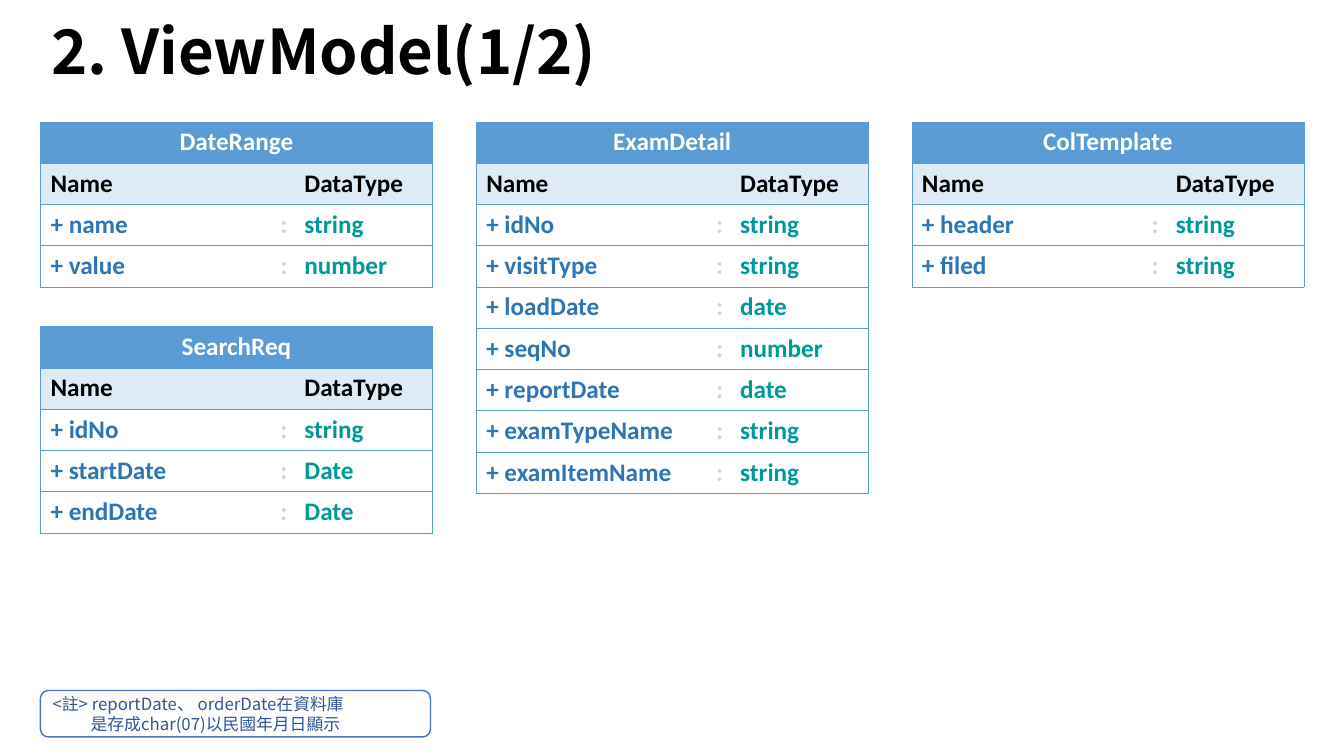
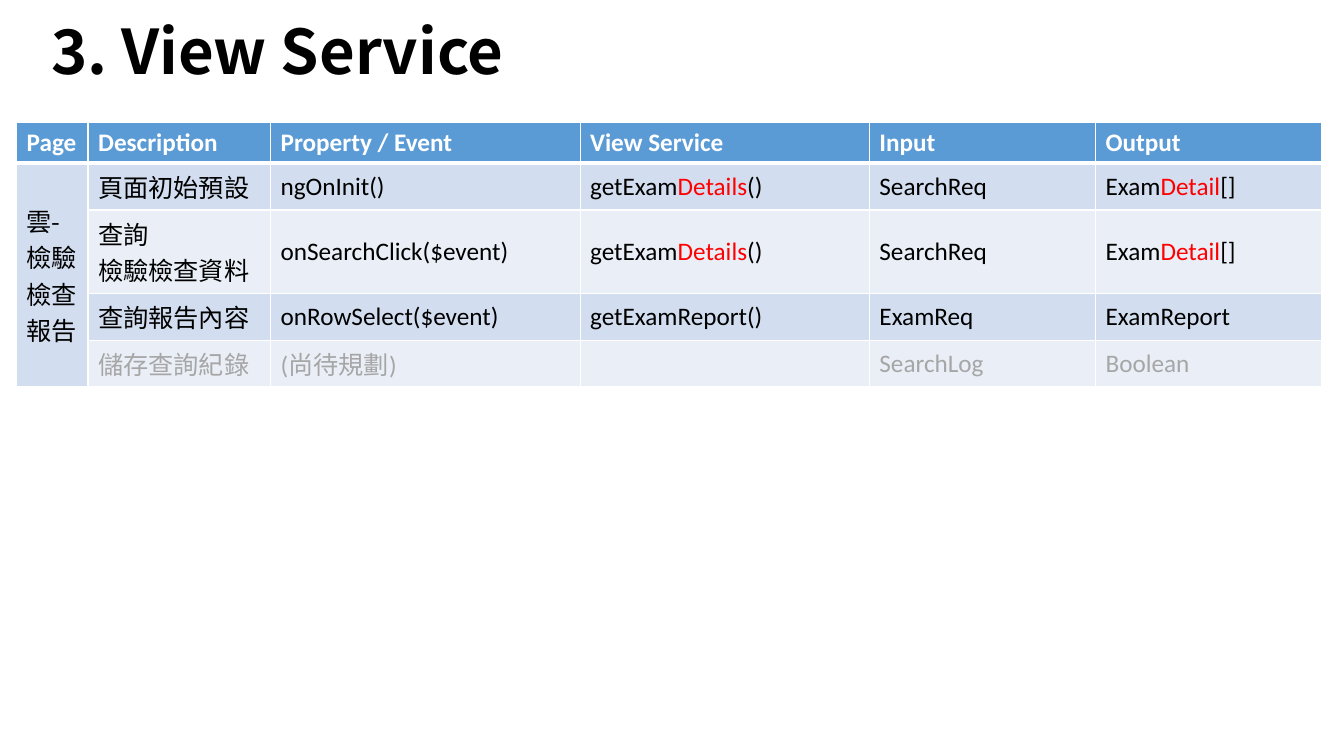
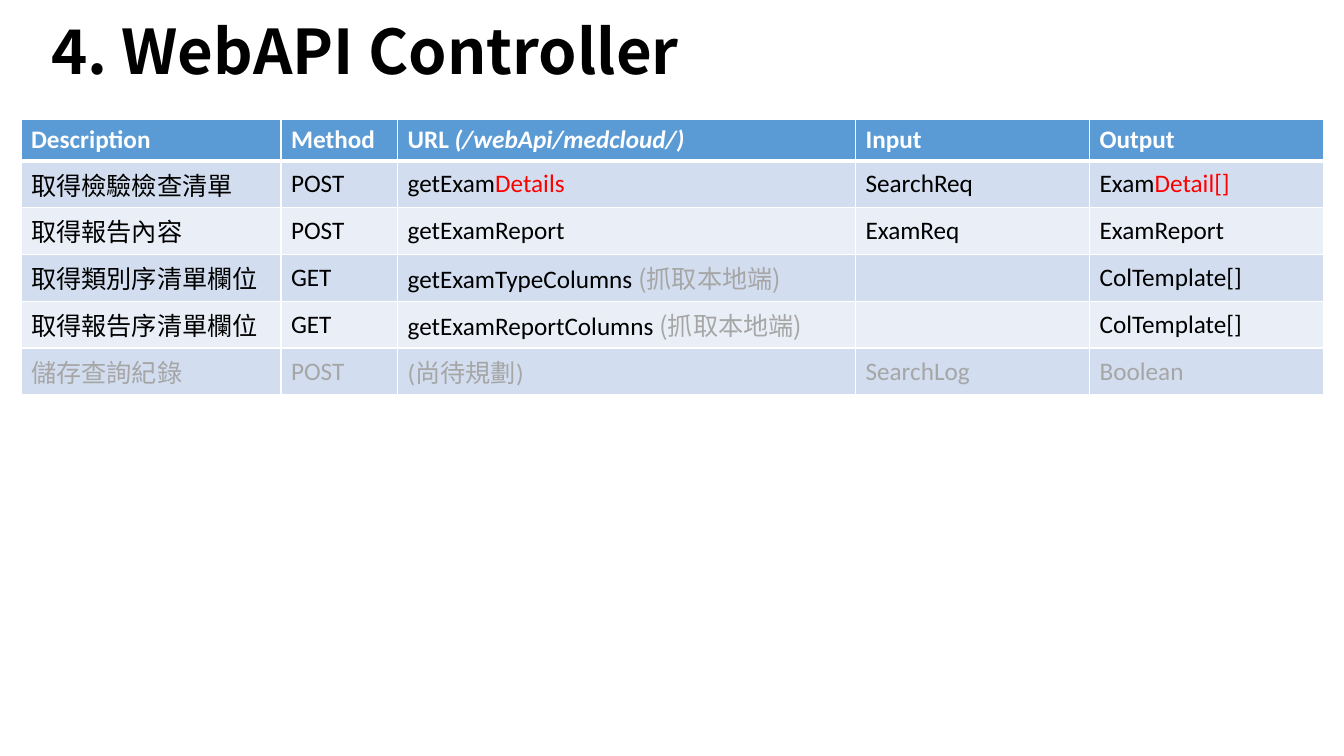
from dataclasses import dataclass

import lxml.etree
import pptx
import pptx.dml.color
import pptx.enum.shapes
import pptx.enum.text
import pptx.oxml.ns
import pptx.util

Cm = pptx.util.Cm
Pt = pptx.util.Pt
qn = pptx.oxml.ns.qn


@dataclass(frozen=True)
class Theme:
    latin_font: str = "Calibri"
    cjk_font: str = "Noto Sans CJK SC"
    title_size: int = 44
    table_size: int = 18
    note_size: int = 12
    white: str = "FFFFFF"
    black: str = "000000"
    header: str = "5B9BD5"
    model_subheader: str = "DEEBF7"
    bands: tuple = ("D2DEEF", "EAEFF7")
    member: str = "2E75B6"
    colon: str = "D4D4D4"
    data_type: str = "009999"
    changed: str = "FF0000"
    muted: str = "A6A6A6"
    note_line: str = "4472C4"
    note_text: str = "2F5597"


THEME = Theme()


@dataclass(frozen=True)
class Run:
    """A piece of text that differs from the rest of its paragraph."""
    text: str
    colour: str = None
    font: str = None
    italic: bool = None


def rgb(colour):
    return pptx.dml.color.RGBColor.from_string(colour)


def font_for(text):
    """Pick the East Asian font for text that opens with an ideograph."""
    return THEME.cjk_font if text and ord(text[0]) > 0x2E80 else THEME.latin_font


def write(paragraph, content, size, colour, font=None, bold=False):
    """Fill a paragraph with a string or a list of strings and Runs."""
    pieces = content if isinstance(content, list) else [content]
    pieces = [piece if isinstance(piece, Run) else Run(piece) for piece in pieces]
    paragraph.font.name = font or font_for(pieces[0].text)
    paragraph.font.size = Pt(size)
    paragraph.font.bold = bold
    paragraph.font.color.rgb = rgb(colour)
    defaults = paragraph._p.get_or_add_pPr().get_or_add_defRPr()
    lxml.etree.SubElement(defaults, qn("a:ea"), typeface=THEME.cjk_font)
    for piece in pieces:
        if not piece.text:
            continue
        run = paragraph.add_run()
        run.text = piece.text
        if piece.colour:
            run.font.color.rgb = rgb(piece.colour)
        if piece.font:
            run.font.name = piece.font
        if piece.italic:
            run.font.italic = True


def set_borders(cell, colour, **widths):
    """Draw the given sides (L, R, T, B) in points; the others stay empty."""
    properties = cell._tc.get_or_add_tcPr()
    for side in "LRTB":
        width = widths.get(side, 0)
        line = lxml.etree.SubElement(properties, qn("a:ln" + side), w=str(Pt(width)))
        if width:
            fill = lxml.etree.SubElement(line, qn("a:solidFill"))
            lxml.etree.SubElement(fill, qn("a:srgbClr"), val=colour)
        else:
            lxml.etree.SubElement(line, qn("a:noFill"))


def set_fill(cell, colour):
    if colour:
        cell.fill.solid()
        cell.fill.fore_color.rgb = rgb(colour)
    else:
        cell.fill.background()


def add_plain_table(slide, left, top, widths, heights):
    """Add a table without style flags; all lengths are in centimetres."""
    table = slide.shapes.add_table(
        len(heights), len(widths), Cm(left), Cm(top),
        Cm(sum(widths)), Cm(sum(heights))).table
    table.first_row = table.horz_banding = False
    for column, width in zip(table.columns, widths):
        column.width = Cm(width)
    for row, height in zip(table.rows, heights):
        row.height = Cm(height)
    return table


def add_title(slide, text):
    box = slide.shapes.add_textbox(Cm(1.04), Cm(-0.25), Cm(23.62), Cm(3.25))
    frame = box.text_frame
    frame.word_wrap = True
    frame.vertical_anchor = pptx.enum.text.MSO_ANCHOR.MIDDLE
    paragraph = frame.paragraphs[0]
    paragraph.line_spacing = 0.9
    write(paragraph, text, THEME.title_size, THEME.black, THEME.cjk_font, bold=True)


MODEL_WIDTHS = (5.79, 0.58, 3.48)
MODEL_ROW = 1.04


def add_model(slide, left, top, name, members):
    """Draw one class as a table and return its height in centimetres."""
    rows = [(name, "", ""), ("Name", "", "DataType")]
    rows += [("+ " + member, ":", data_type) for member, data_type in members]
    heights = [MODEL_ROW] * len(rows)
    table = add_plain_table(slide, left, top, MODEL_WIDTHS, heights)
    table.cell(0, 0).merge(table.cell(0, 2))
    fills = {0: THEME.header, 1: THEME.model_subheader}
    row_colours = {0: [THEME.white] * 3, 1: [THEME.black] * 3}
    member_colours = (THEME.member, THEME.colon, THEME.data_type)
    for r, row in enumerate(rows):
        for c, text in enumerate(row):
            cell = table.cell(r, c)
            if cell.is_spanned:
                continue
            sides = {"T": 0.5, "B": 0.5}
            if c == 0:
                sides["L"] = 0.5
            if c == 2 or r == 0:
                sides["R"] = 0.5
            set_borders(cell, THEME.header, **sides)
            set_fill(cell, fills.get(r))
            paragraph = cell.text_frame.paragraphs[0]
            write(paragraph, text, THEME.table_size,
                  row_colours.get(r, member_colours)[c], bold=True)
            if r == 0:
                paragraph.alignment = pptx.enum.text.PP_ALIGN.CENTER
    return sum(heights)


def add_note(slide, left, top, lines):
    """Draw a rounded note whose lines after the first are indented."""
    note = slide.shapes.add_shape(
        pptx.enum.shapes.MSO_SHAPE.ROUNDED_RECTANGLE,
        Cm(left), Cm(top), Cm(9.83), Cm(1.17))
    note.shadow.inherit = False
    note.fill.solid()
    note.fill.fore_color.rgb = rgb(THEME.white)
    note.line.color.rgb = rgb(THEME.note_line)
    note.line.width = Pt(1)
    frame = note.text_frame
    frame.word_wrap = True
    frame.vertical_anchor = pptx.enum.text.MSO_ANCHOR.MIDDLE
    for index, line in enumerate(lines):
        paragraph = frame.add_paragraph() if index else frame.paragraphs[0]
        paragraph.alignment = pptx.enum.text.PP_ALIGN.LEFT
        if index:
            paragraph._p.get_or_add_pPr().set("marL", str(Cm(0.96)))
        write(paragraph, line, THEME.note_size, THEME.note_text, THEME.cjk_font)


def add_service_table(slide, left, top, widths, heights, rows, merge_first=False):
    """Draw a banded table; its last row is still planned and so muted."""
    table = add_plain_table(slide, left, top, widths, heights)
    last = len(rows) - 1
    if merge_first:
        table.cell(1, 0).merge(table.cell(last, 0))
    for r, row in enumerate(rows):
        colour = {0: THEME.white, last: THEME.muted}.get(r, THEME.black)
        for c, content in enumerate(row):
            cell = table.cell(r, c)
            if cell.is_spanned:
                continue
            set_borders(cell, THEME.white, L=1, R=1,
                        T=3 if r == 1 else 1, B=1 if r else 3)
            set_fill(cell, THEME.bands[(r - 1) % 2] if r else THEME.header)
            cell.vertical_anchor = pptx.enum.text.MSO_ANCHOR.MIDDLE
            lines = content.split("\n") if isinstance(content, str) else [content]
            frame = cell.text_frame
            for index, line in enumerate(lines):
                paragraph = frame.add_paragraph() if index else frame.paragraphs[0]
                write(paragraph, line, THEME.table_size, colour, bold=r == 0)


def build_view_model(slide):
    add_title(slide, "2. ViewModel(1/2)")
    left, top, step, gap = 1.02, 3.07, 10.98, 1.0
    columns = [
        [("DateRange", [("name", "string"), ("value", "number")]),
         ("SearchReq", [("idNo", "string"), ("startDate", "Date"),
                        ("endDate", "Date")])],
        [("ExamDetail", [("idNo", "string"), ("visitType", "string"),
                         ("loadDate", "date"), ("seqNo", "number"),
                         ("reportDate", "date"), ("examTypeName", "string"),
                         ("examItemName", "string")])],
        [("ColTemplate", [("header", "string"), ("filed", "string")])],
    ]
    for index, models in enumerate(columns):
        model_top = top
        for name, members in models:
            model_top += gap + add_model(
                slide, left + index * step, model_top, name, members)
    add_note(slide, left, 17.4, ["<註> reportDate、 orderDate在資料庫",
                                 "是存成char(07)以民國年月日顯示"])


def build_view_service(slide):
    add_title(slide, "3. View Service")
    get_details = ["getExam", Run("Details", THEME.changed), "()"]
    detail_list = ["Exam", Run("Detail", THEME.changed), "[]"]
    rows = [
        ("Page", "Description", "Property / Event", "View Service", "Input", "Output"),
        ("雲-檢驗檢查報告", "頁面初始預設", "ngOnInit()", get_details,
         "SearchReq", detail_list),
        ("", "查詢\n檢驗檢查資料", "onSearchClick($event)", get_details,
         "SearchReq", detail_list),
        ("", "查詢報告內容", "onRowSelect($event)", "getExamReport()",
         "ExamReq", "ExamReport"),
        ("", "儲存查詢紀錄", "(尚待規劃)", "", "SearchLog", "Boolean"),
    ]
    add_service_table(slide, 0.42, 3.08, (1.8, 4.6, 7.8, 7.29, 5.7, 5.7),
                      (1.03, 1.18, 2.1, 1.18, 1.18), rows, merge_first=True)


def build_web_api(slide):
    add_title(slide, "4. WebAPI Controller")
    local = Run("(抓取本地端)", THEME.muted, THEME.cjk_font)
    rows = [
        ("Description", "Method", ["URL ", Run("(/webApi/medcloud/)", italic=True)],
         "Input", "Output"),
        ("取得檢驗檢查清單", "POST", ["getExam", Run("Details", THEME.changed)],
         "SearchReq", ["Exam", Run("Detail[]", THEME.changed)]),
        ("取得報告內容", "POST", "getExamReport", "ExamReq", "ExamReport"),
        ("取得類別序清單欄位", "GET", ["getExamTypeColumns ", local],
         "", "ColTemplate[]"),
        ("取得報告序清單欄位", "GET", ["getExamReportColumns ", local],
         "", "ColTemplate[]"),
        ("儲存查詢紀錄", "POST", "(尚待規劃)", "SearchLog", "Boolean"),
    ]
    add_service_table(slide, 0.53, 3.02, (6.55, 2.94, 11.54, 5.9, 5.9),
                      (1.03,) + (1.18,) * 5, rows)


def main():
    presentation = pptx.Presentation()
    presentation.slide_width = Cm(33.87)
    presentation.slide_height = Cm(19.05)
    blank = presentation.slide_layouts[6]
    for build in (build_view_model, build_view_service, build_web_api):
        build(presentation.slides.add_slide(blank))
    presentation.save("out.pptx")


if __name__ == "__main__":
    main()
